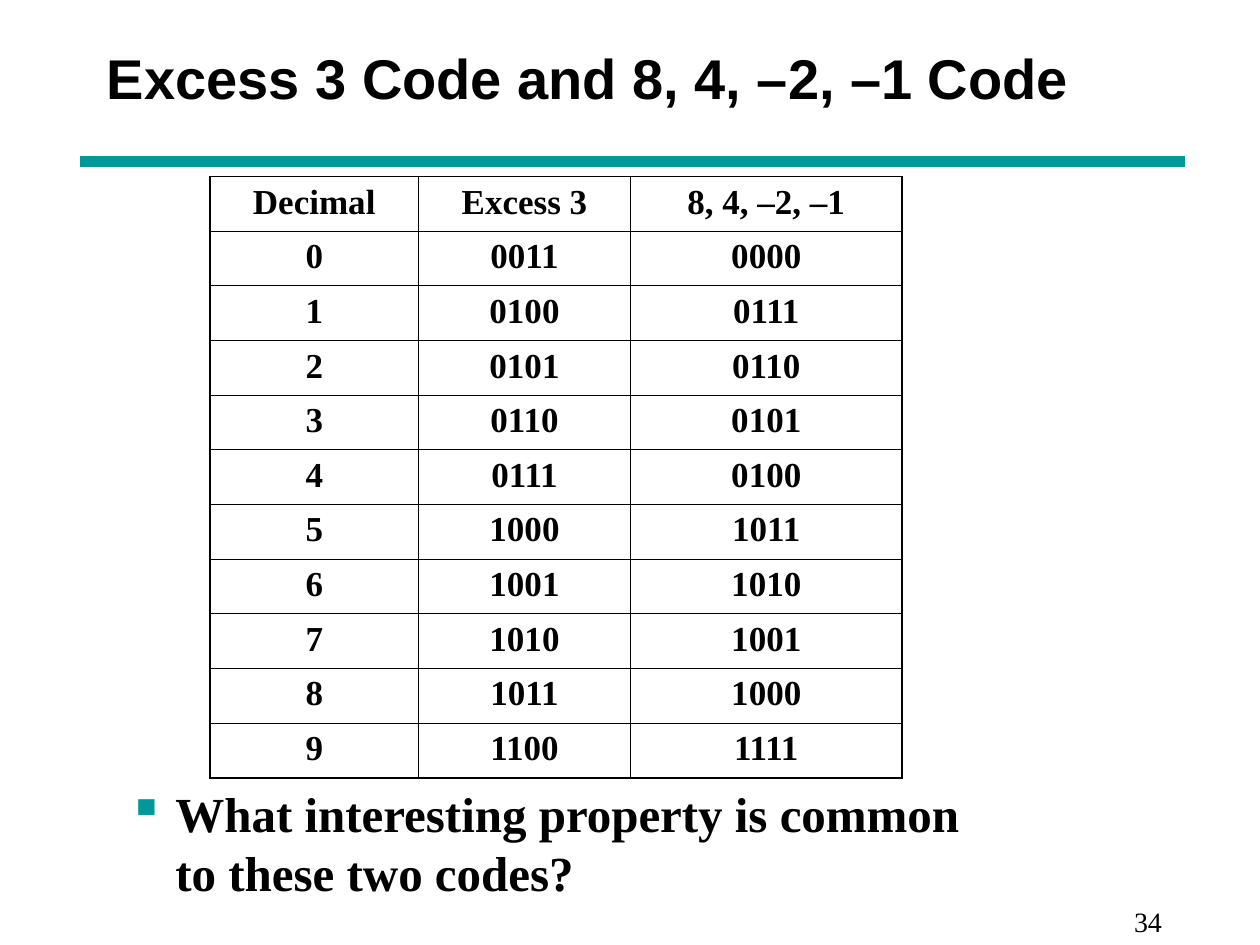
import pptx
import pptx.dml.color
import pptx.enum.shapes
import pptx.enum.text
import pptx.oxml.ns
import pptx.util
import lxml.etree

Pt = pptx.util.Pt
ALIGN = pptx.enum.text.PP_ALIGN
ANCHOR = pptx.enum.text.MSO_ANCHOR
COLORS = {"text": "000000", "accent": "009999"}
TITLE_FONT = {"name": "Arial", "size": Pt(32), "bold": True}
CELL_FONT = {"name": "Times New Roman", "size": Pt(20), "bold": True}
QUESTION_FONT = {"name": "Times New Roman", "size": Pt(28), "bold": True}
NUMBER_FONT = {"name": "Times New Roman", "size": Pt(16), "bold": False}
COLUMN_WIDTHS = (118.8, 121.5, 154.8)
ROW_HEIGHT = 31.24
OUTER_WIDTH, INNER_WIDTH = 1.08, 0.45
CODES = [
    ("Decimal", "Excess 3", "8, 4, –2, –1"),
    ("0", "0011", "0000"),
    ("1", "0100", "0111"),
    ("2", "0101", "0110"),
    ("3", "0110", "0101"),
    ("4", "0111", "0100"),
    ("5", "1000", "1011"),
    ("6", "1001", "1010"),
    ("7", "1010", "1001"),
    ("8", "1011", "1000"),
    ("9", "1100", "1111"),
]


def rgb(name):
    return pptx.dml.color.RGBColor.from_string(COLORS[name])


def add_element(parent, tag, **attributes):
    return lxml.etree.SubElement(parent, pptx.oxml.ns.qn(tag), attributes)


def write_text(paragraph, text, font):
    span = paragraph.add_run()
    span.text = text
    for key, value in font.items():
        setattr(span.font, key, value)
    span.font.color.rgb = rgb("text")


def add_text(page, position, text, font, frame_format):
    box = page.shapes.add_textbox(*map(Pt, position))
    frame = box.text_frame
    frame.word_wrap = True
    for key, value in frame_format.items():
        setattr(frame, key, value)
    paragraph = frame.paragraphs[0]
    write_text(paragraph, text, font)
    return paragraph


def add_bullet(paragraph, indent):
    properties = paragraph._p.get_or_add_pPr()
    properties.set("marL", str(Pt(indent)))
    properties.set("indent", str(-Pt(indent)))
    color = add_element(properties, "a:buClr")
    add_element(color, "a:srgbClr", val=COLORS["accent"])
    add_element(properties, "a:buChar", char="▪")


def add_rule(page, left, right, y):
    rule = page.shapes.add_connector(
        pptx.enum.shapes.MSO_CONNECTOR.STRAIGHT, Pt(left), Pt(y), Pt(right), Pt(y))
    rule.line.color.rgb = rgb("accent")
    rule.line.width = Pt(6)
    add_element(rule._element.spPr, "a:effectLst")


def set_borders(cell, outer_sides):
    properties = cell._tc.get_or_add_tcPr()
    for index, side in enumerate("LRTB"):
        width = OUTER_WIDTH if side in outer_sides else INNER_WIDTH
        border = add_element(properties, "a:ln" + side, w=str(Pt(width)))
        fill = add_element(border, "a:solidFill")
        add_element(fill, "a:srgbClr", val=COLORS["text"])
        properties.insert(index, border)


def add_code_table(page, left, top):
    rows, columns = len(CODES), len(COLUMN_WIDTHS)
    table = page.shapes.add_table(
        rows, columns, Pt(left), Pt(top),
        Pt(sum(COLUMN_WIDTHS)), Pt(ROW_HEIGHT * rows)).table
    table.first_row = table.horz_banding = False
    for column, width in zip(table.columns, COLUMN_WIDTHS):
        column.width = Pt(width)
    for r, values in enumerate(CODES):
        table.rows[r].height = Pt(ROW_HEIGHT)
        for c, value in enumerate(values):
            cell = table.cell(r, c)
            cell.fill.background()
            edges = {"L": c == 0, "R": c == columns - 1, "T": r == 0, "B": r == rows - 1}
            set_borders(cell, [side for side, outer in edges.items() if outer])
            paragraph = cell.text_frame.paragraphs[0]
            paragraph.alignment = ALIGN.CENTER
            write_text(paragraph, value, CELL_FONT)


def main():
    deck = pptx.Presentation()
    deck.slide_width, deck.slide_height = Pt(720), Pt(540)
    page = deck.slides.add_slide(deck.slide_layouts[6])
    add_rule(page, 46, 677, 92.2)
    add_text(page, (54, 0, 614, 88.5), "Excess 3 Code and 8, 4, –2, –1 Code",
             TITLE_FONT, {"vertical_anchor": ANCHOR.MIDDLE})
    add_code_table(page, 120.2, 100.8)
    question = add_text(page, (66.2, 444, 491.8, 76),
                        "What interesting property is common to these two codes?",
                        QUESTION_FONT, {"vertical_anchor": ANCHOR.TOP})
    add_bullet(question, 27)
    number = add_text(page, (568.8, 513.4, 151.2, 26.6), "34",
                      NUMBER_FONT, {"margin_right": Pt(56)})
    number.alignment = ALIGN.RIGHT
    deck.save("out.pptx")


if __name__ == "__main__":
    main()
